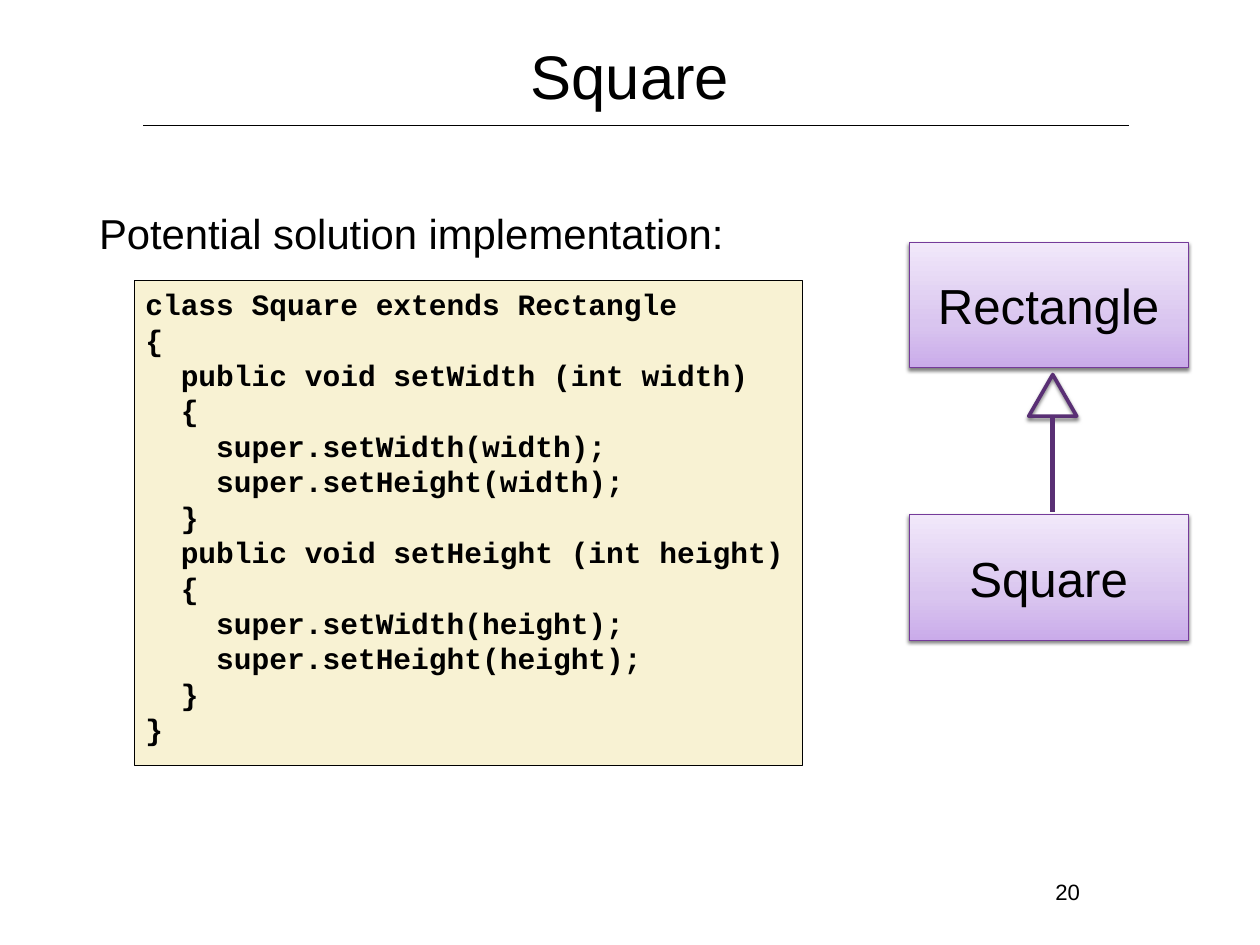
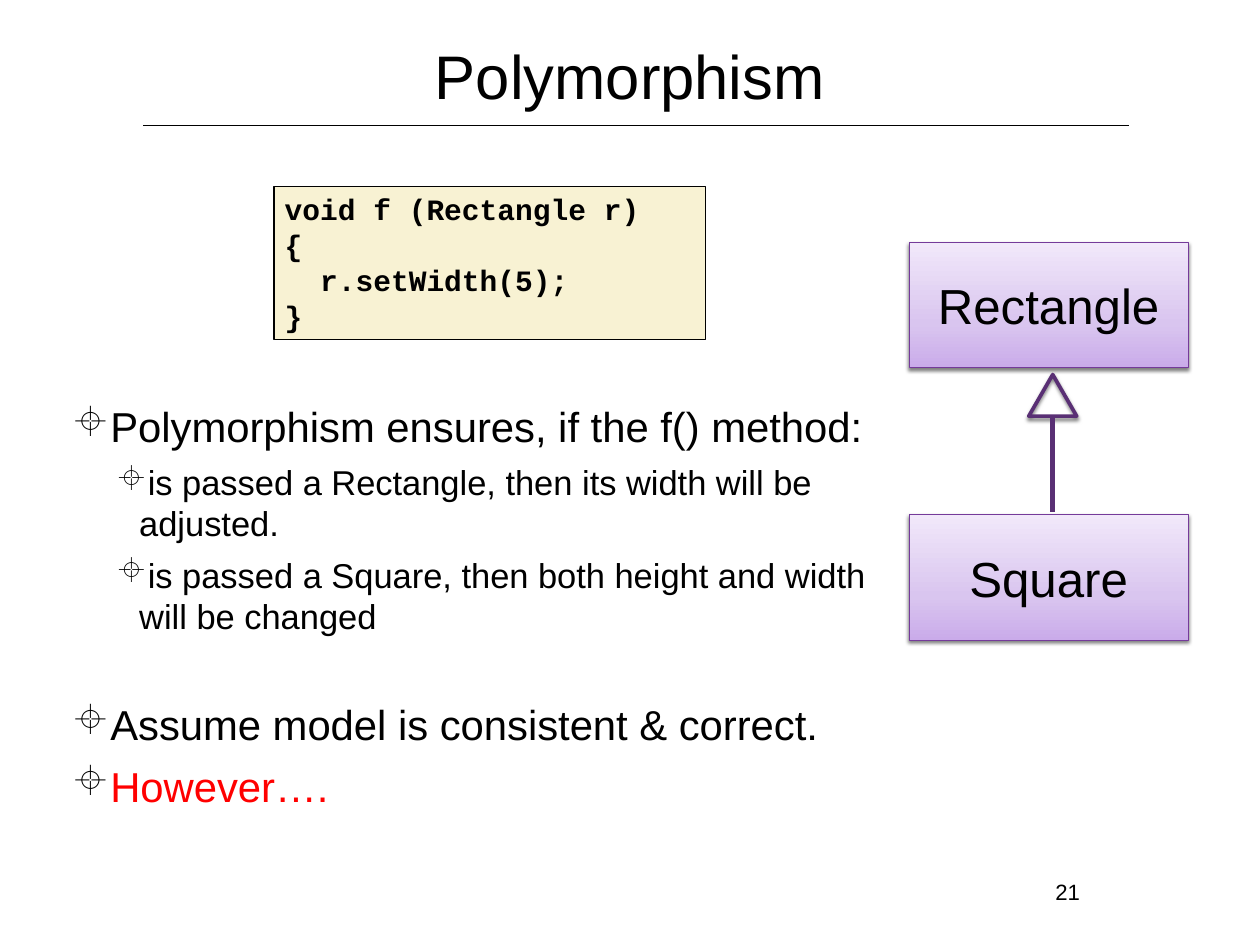
from copy import deepcopy
from pptx import Presentation
from pptx.dml.color import RGBColor as Rgb
from pptx.enum.shapes import MSO_CONNECTOR as Conn, MSO_SHAPE as Form
from pptx.enum.text import MSO_ANCHOR as Anchor, PP_ALIGN as Align
from pptx.oxml import parse_xml
from pptx.oxml.ns import nsdecls, qn
from pptx.util import Inches, Pt

# Shared style: colours, text formats, frame formats
BLACK, RED, CREAM = "000000", "FF0000", "F8F2D3"
EDGE, PLUM = "753B9A", "592F74"
SHADE = ((0, "CAABEA"), (0.35, "D9C5EF"), (1, "F1E8FA"))
FONTS = {
    "title": dict(name="Arial", size=Pt(50)),
    "class": dict(name="Arial", size=Pt(40)),
    "body": dict(name="Arial", size=Pt(34)),
    "sub": dict(name="Arial", size=Pt(28)),
    "page": dict(name="Arial", size=Pt(18)),
    "code": dict(name="Courier New", size=Pt(24), bold=True),
}
PAD = Inches(0.06)
FRAME = dict(margin_left=PAD, margin_right=PAD, margin_top=PAD,
             margin_bottom=PAD, word_wrap=True, vertical_anchor=Anchor.TOP)
MID = dict(vertical_anchor=Anchor.MIDDLE)
# Level: text format, left margin and hang in inches, space before
LEVELS = (("body", 0.42, -0.38, 9), ("sub", 0.8, -0.26, 8))
# The symbol font draws this character as a crosshair
MARK = (f'<a:buClr {nsdecls("a")}><a:srgbClr val="{BLACK}"/></a:buClr>',
        f'<a:buFont {nsdecls("a")} typeface="Wingdings" charset="2"/>',
        f'<a:buChar {nsdecls("a")} char="±"/>')


def rgb(code):
    return Rgb.from_string(code)


def apply(item, form):
    for key, value in form.items():
        setattr(item, key, value)


class Deck:
    """Places are percent of the slide: left, top, width, height."""

    def __init__(self, wide, high):
        self.file = Presentation()
        self.file.slide_width = self.wide = Inches(wide)
        self.file.slide_height = self.high = Inches(high)

    def place(self, *parts):
        sides = (self.wide, self.high) * 2
        return [round(side * part / 100) for side, part in zip(sides, parts)]

    # Text
    def para(self, frame, text, kind, color=BLACK, **form):
        first = frame.paragraphs[0]
        par = frame.add_paragraph() if first.runs else first
        apply(par, form)
        run = par.add_run()
        run.text = text
        apply(run.font, FONTS[kind])
        run.font.color.rgb = rgb(color)
        return par

    def label(self, at, form=None):
        frame = self.page.shapes.add_textbox(*self.place(*at)).text_frame
        apply(frame, FRAME | (form or {}))
        return frame

    def line(self, start, end, color, width):
        link = self.page.shapes.add_connector(
            Conn.STRAIGHT, *self.place(*start, *end))
        link.line.color.rgb = rgb(color)
        link.line.width = Pt(width)
        link._element.spPr.append(
            parse_xml(f'<a:effectLst {nsdecls("a")}/>'))

    def shape(self, form, at, edge, width, shadow=False):
        box = self.page.shapes.add_shape(form, *self.place(*at))
        box.fill.background()
        box.line.color.rgb = rgb(edge)
        box.line.width = Pt(width)
        box.shadow.inherit = False
        apply(box.text_frame, FRAME)
        if shadow:
            box._element.spPr.find(qn("a:effectLst")).append(parse_xml(
                f'<a:outerShdw {nsdecls("a")} blurRad="{Pt(3)}" '
                f'dist="{Pt(2)}" dir="5400000" rotWithShape="0">'
                f'<a:srgbClr val="{BLACK}"><a:alpha val="50000"/>'
                '</a:srgbClr></a:outerShdw>'))
        return box

    # Title, rule and page number
    def start(self, title, number):
        self.page = self.file.slides.add_slide(self.file.slide_layouts[6])
        self.line((11.39, 13.31), (89.59, 13.31), BLACK, 1)
        page = self.label((83.33, 92.41, 2.81, 3.84), dict(word_wrap=False))
        self.para(page, str(number), "page", alignment=Align.CENTER)
        head = self.label((5, 0, 90, 15.84), MID)
        self.para(head, title, "title", alignment=Align.CENTER)

    # Code panel
    def code(self, at, text):
        box = self.shape(Form.RECTANGLE, at, BLACK, 1)
        box.fill.solid()
        box.fill.fore_color.rgb = rgb(CREAM)
        box.text_frame.margin_left = 2 * PAD
        for row in text.strip().split("\n"):
            self.para(box.text_frame, row, "code", alignment=Align.LEFT)

    # Class diagram
    def node(self, name, top):
        box = self.shape(Form.RECTANGLE, (72.15, top, 22.15, 13.31),
                         EDGE, 0.75, shadow=True)
        box.fill.gradient()
        box.fill.gradient_angle = 90
        stops = box._element.spPr.find(qn("a:gradFill")).find(qn("a:gsLst"))
        stops.insert(1, deepcopy(stops[0]))
        for stop, (share, color) in zip(box.fill.gradient_stops, SHADE):
            stop.position = share
            stop.color.rgb = rgb(color)
        apply(box.text_frame, MID)
        self.para(box.text_frame, name, "class", alignment=Align.CENTER)

    def tree(self):
        self.node("Rectangle", 25.62)
        self.node("Square", 54.45)
        self.shape(Form.ISOSCELES_TRIANGLE, (81.65, 39.64, 3.8, 4.4),
                   PLUM, 3, shadow=True)
        self.line((83.54, 44.05), (83.54, 54.17), PLUM, 4.5)

    # Bullet list: level, text, then any format of its own
    def points(self, at, rows):
        frame = self.label(at)
        for level, text, own in rows:
            kind, left, hang, gap = LEVELS[level]
            form = dict(level=level, space_before=Pt(gap))
            par = self.para(frame, text, kind, **(form | own))
            props = par._p.get_or_add_pPr()
            props.set("marL", str(Inches(left)))
            props.set("indent", str(Inches(hang)))
            for part in MARK:
                props.append(parse_xml(part))


SQUARE = """
class Square extends Rectangle
{
  public void setWidth (int width)
  {
    super.setWidth(width);
    super.setHeight(width);
  }
  public void setHeight (int height)
  {
    super.setWidth(height);
    super.setHeight(height);
  }
}
"""
CALL = """
void f (Rectangle r)
{
  r.setWidth(5);
}
"""
POINTS = (
    (0, "Polymorphism ensures, if the f() method:", dict(space_before=Pt(0))),
    (1, "is passed a Rectangle, then its width will be adjusted.", {}),
    (1, "is passed a Square, then both height and width will be changed", {}),
    (0, "Assume model is consistent & correct.", dict(space_before=Pt(51))),
    (0, "However….", dict(color=RED)),
)


def main():
    deck = Deck(14.22, 10.67)

    # Square
    deck.start("Square", 20)
    deck.tree()
    deck.code((10.69, 29.71, 53.02, 51.27), SQUARE)
    lead = deck.label((7.17, 21.56, 56.61, 6.28),
                      dict(margin_left=Inches(0.1), margin_top=Inches(0.05)))
    deck.para(lead, "Potential solution implementation:", "body")

    # Polymorphism
    deck.start("Polymorphism", 21)
    deck.points((5, 41.89, 65.12, 50.98), POINTS)
    deck.code((21.75, 19.7, 34.25, 16.21), CALL)
    deck.tree()

    deck.file.save("out.pptx")


if __name__ == "__main__":
    main()
